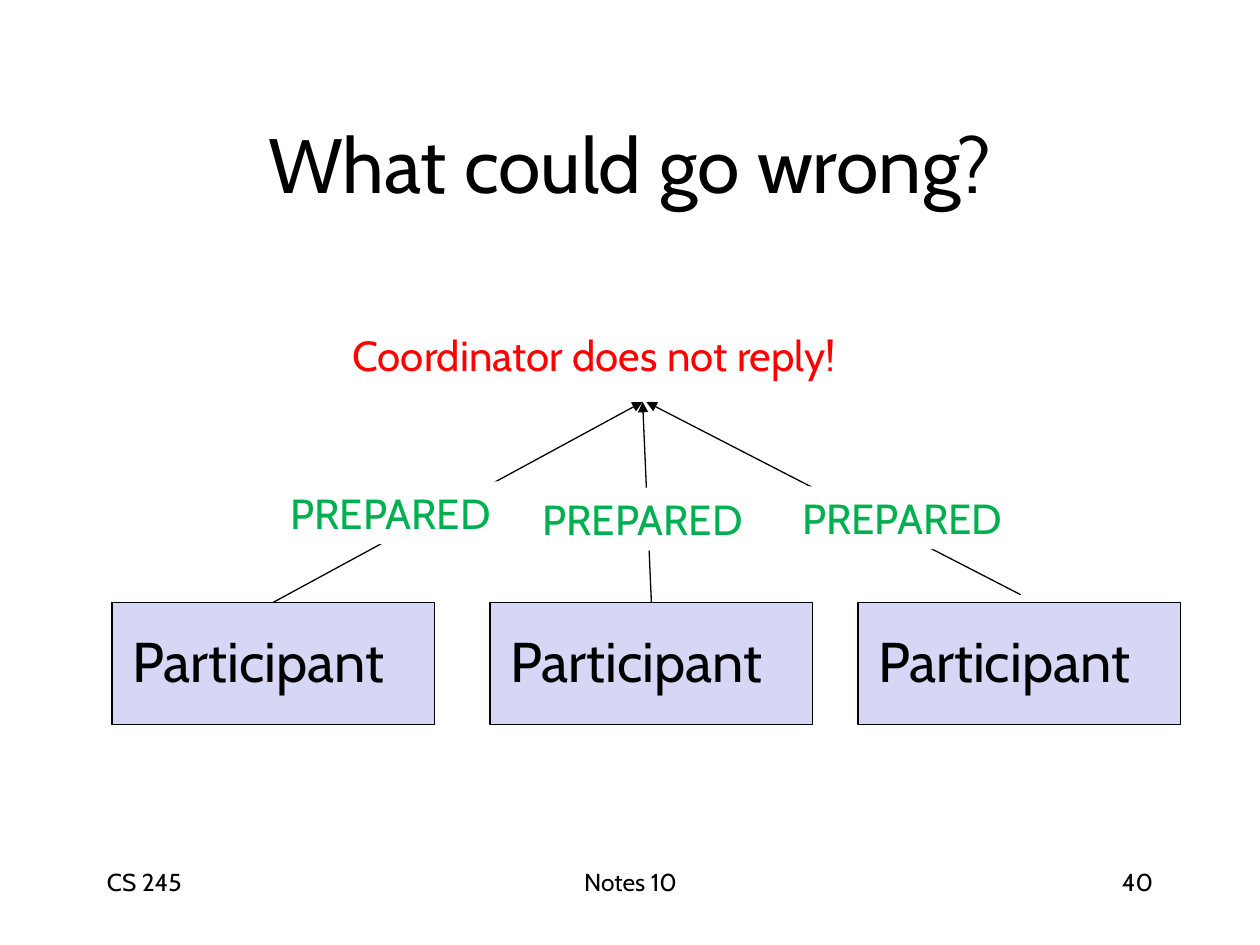
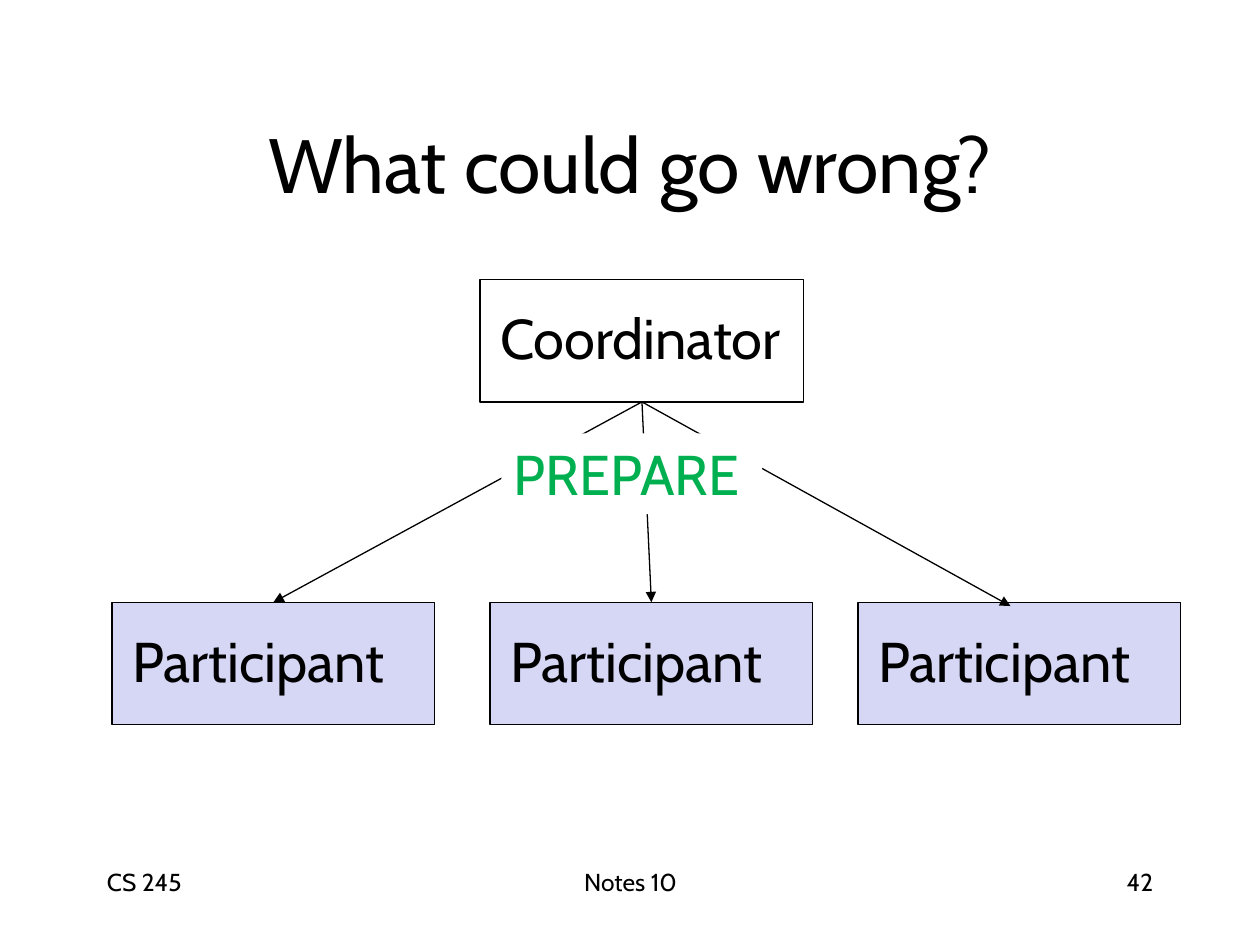
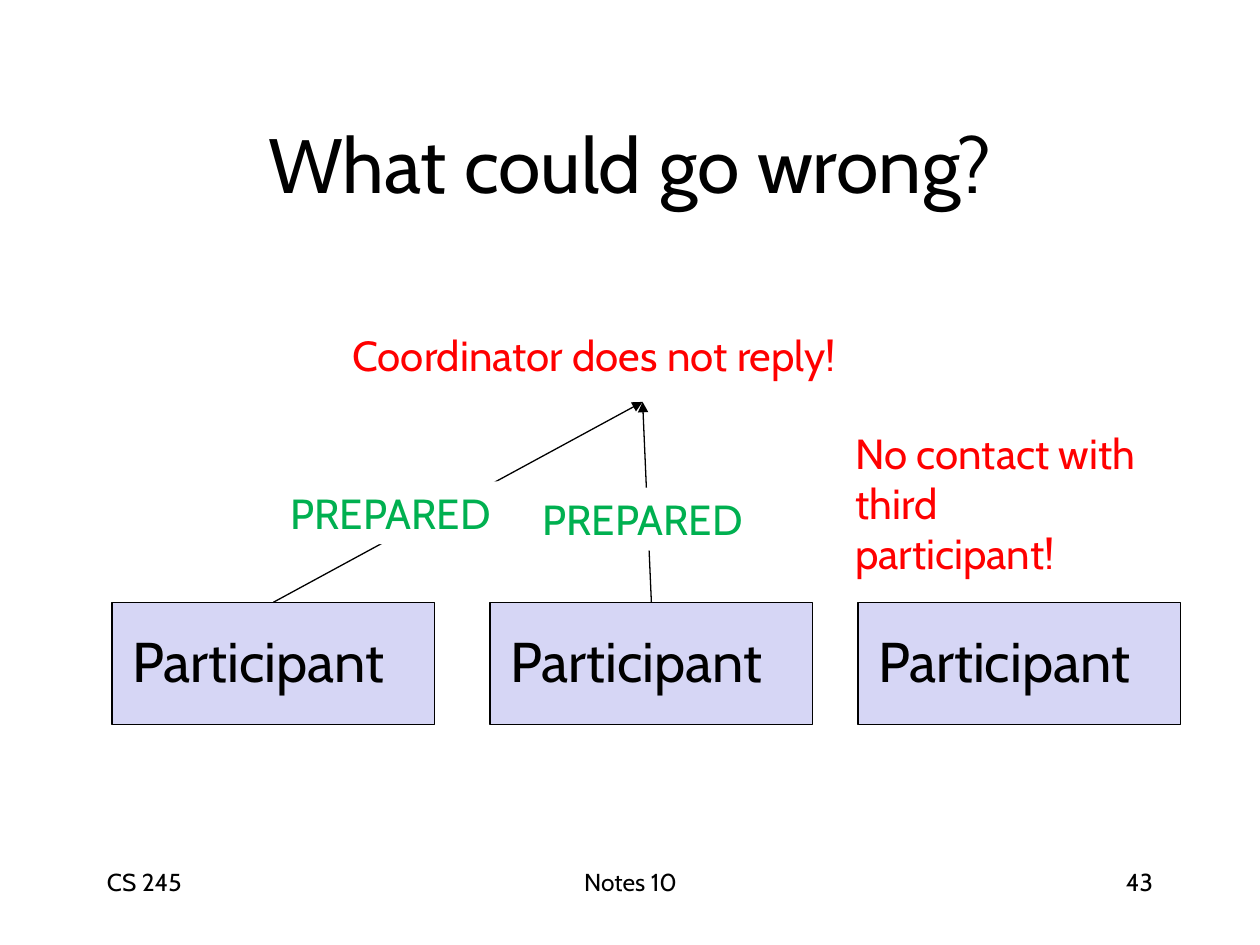
import lxml.etree
import pptx
import pptx.dml.color
import pptx.enum.shapes
import pptx.enum.text
import pptx.oxml.ns
import pptx.util

Inches = pptx.util.Inches
Align = pptx.enum.text.PP_ALIGN
Anchor = pptx.enum.text.MSO_ANCHOR
Kind = pptx.enum.shapes.MSO_SHAPE
qn = pptx.oxml.ns.qn


class Theme:
    font = "Cabin"
    black, white, lilac, green, red = map(
        pptx.dml.color.RGBColor.from_string,
        ("000000", "FFFFFF", "D6D6F5", "00B050", "FF0000"))
    title, node, note, foot = map(pptx.util.Pt, (44, 32, 24, 14))
    line = pptx.util.Pt(0.75)


def write(shape, lines, size, color, align=Align.LEFT, anchor=Anchor.TOP):
    """Fill a shape with one paragraph per line."""
    frame = shape.text_frame
    frame.word_wrap = True
    frame.vertical_anchor = anchor
    for i, line in enumerate(lines):
        para = frame.add_paragraph() if i else frame.paragraphs[0]
        para.alignment = align
        run = para.add_run()
        run.text = line
        run.font.name = Theme.font
        run.font.size = size
        run.font.color.rgb = color


def block(slide, place, fill, edge=None):
    """Add a plain rectangle, with an outline if edge is given."""
    shape = slide.shapes.add_shape(Kind.RECTANGLE, *map(Inches, place))
    shape.shadow.inherit = False
    shape.fill.solid()
    shape.fill.fore_color.rgb = fill
    if edge is None:
        shape.line.fill.background()
    else:
        shape.line.color.rgb = edge
        shape.line.width = Theme.line
    return shape


# Shared places: left, top, width, height
title_at = (0.75, 0.67, 8.5, 1.25)
foot_top, foot_high = 6.83, 0.5
node_top, node_wide, node_high = 4.78, 2.56, 0.97
node_lefts = (0.89, 3.89, 6.81)
hub_at = (3.81, 2.22, 2.57, node_high)
hub_end = (5.1, 3.19)

# Green messages: text, size, place, alignment
prepared = [("PREPARED", Theme.note, (left, top, 1.84, 0.5), Align.CENTER)
            for left, top in ((2.18, 3.82), (4.18, 3.87), (6.24, 3.86))]
prepare = ("PREPARE", Theme.node, (3.98, 3.44, 2.07, 0.64), Align.LEFT)

# Red notes: lines, place
silent = (["Coordinator does not reply!"], (2.7, 2.57, 4.51, 0.5))
lost = (["No contact with", "third", "participant!"], (6.69, 3.34, 2.66, 1.3))

# Free third arrows, which stop beside the middle of the box
reply = ((5.13, 3.19), (8.1, 4.72))
request = (hub_end, (8.02, 4.81))

# Slides: number, has coordinator, arrow end, third arrow, messages, notes
pages = (
    ("40", False, "a:headEnd", reply, prepared, [silent]),
    ("42", True, "a:tailEnd", request, [prepare], []),
    ("43", False, "a:headEnd", None, prepared[:2], [silent, lost]),
)

deck = pptx.Presentation()
deck.slide_width, deck.slide_height = Inches(10), Inches(7.5)

for number, has_hub, tip, third, messages, notes in pages:
    slide = deck.slides.add_slide(deck.slide_layouts[5])

    # Title
    title = slide.shapes.title
    title.left, title.top, title.width, title.height = map(Inches, title_at)
    write(title, ["What could go wrong?"], Theme.title, Theme.black,
          Align.CENTER, Anchor.MIDDLE)

    # Footer
    for text, left, wide, align in (("CS 245", 0.75, 2.08, Align.LEFT),
                                    ("Notes 10", 3.42, 3.17, Align.CENTER),
                                    (number, 7.17, 2.08, Align.RIGHT)):
        foot = slide.shapes.add_textbox(
            *map(Inches, (left, foot_top, wide, foot_high)))
        write(foot, [text], Theme.foot, Theme.black, align)

    # Coordinator and participants
    nodes = [("Participant", (left, node_top, node_wide, node_high), Theme.lilac)
             for left in node_lefts]
    if has_hub:
        nodes.append(("Coordinator", hub_at, Theme.white))
    boxes = []
    for text, place, fill in nodes:
        box = block(slide, place, fill, Theme.black)
        box.text_frame.margin_left = Inches(0.16)
        box.text_frame.margin_bottom = Inches(0.1)
        write(box, [text], Theme.node, Theme.black, anchor=Anchor.MIDDLE)
        boxes.append(box)

    # Arrows between the coordinator and the participants
    routes = [(hub_end, (left + node_wide / 2, node_top), box)
              for left, box in zip(node_lefts[:2], boxes)]
    if third:
        routes.append((*third, None))
    for start, end, box in routes:
        arrow = slide.shapes.add_connector(
            pptx.enum.shapes.MSO_CONNECTOR.STRAIGHT,
            *map(Inches, (*start, *end)))
        if has_hub:
            arrow.begin_connect(boxes[-1], 2)
        if box is not None:
            arrow.end_connect(box, 0)
        arrow.line.color.rgb = Theme.black
        arrow.line.width = Theme.line
        lxml.etree.SubElement(arrow.line._get_or_add_ln(), qn(tip),
                              type="triangle")
        lxml.etree.SubElement(arrow._element.spPr, qn("a:effectLst"))

    # Messages over the arrows
    for text, size, place, align in messages:
        label = block(slide, place, Theme.white)
        write(label, [text], size, Theme.green, align)

    # Failure notes
    for lines, place in notes:
        note = slide.shapes.add_textbox(*map(Inches, place))
        write(note, lines, Theme.note, Theme.red)

deck.save("out.pptx")
